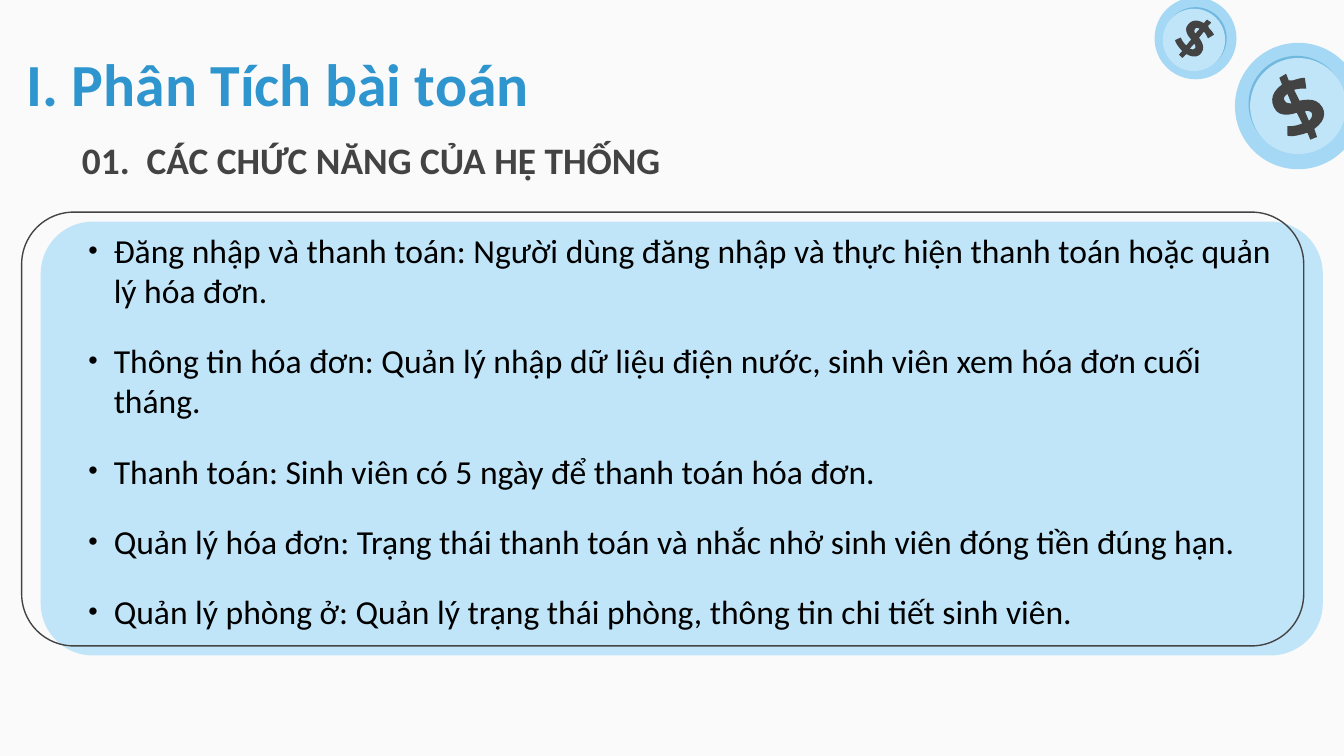
from math import cos, radians, sin

from lxml.etree import SubElement
from pptx import Presentation
from pptx.dml.color import RGBColor
from pptx.enum.shapes import MSO_SHAPE
from pptx.enum.text import MSO_ANCHOR, MSO_AUTO_SIZE, PP_ALIGN
from pptx.oxml.ns import qn
from pptx.util import Cm, Pt

PAPER = RGBColor(0xFA, 0xFA, 0xFA)
SKY = RGBColor(0xC1, 0xE5, 0xF8)
RIM = RGBColor(0xA4, 0xD8, 0xF4)
SHADE = RGBColor(0x71, 0xB8, 0xDF)
BLUE = RGBColor(0x2E, 0x95, 0xCE)
GRAPHITE = RGBColor(0x43, 0x43, 0x43)
BLACK = RGBColor(0, 0, 0)

FONT = "Calibri"
INSET = Cm(0.25)

FUNCTIONS = [
    "Đăng nhập và thanh toán: Người dùng đăng nhập và thực hiện thanh toán hoặc quản lý hóa đơn.",
    "Thông tin hóa đơn: Quản lý nhập dữ liệu điện nước, sinh viên xem hóa đơn cuối tháng.",
    "Thanh toán: Sinh viên có 5 ngày để thanh toán hóa đơn.",
    "Quản lý hóa đơn: Trạng thái thanh toán và nhắc nhở sinh viên đóng tiền đúng hạn.",
    "Quản lý phòng ở: Quản lý trạng thái phòng, thông tin chi tiết sinh viên.",
]

# Pairs are line ends, sextuples are cubic curves, for a coin 94 units wide.
DOLLAR = [
    [(-9, -24), (-14, -21), (-12, -16), (-19, -11, -21, -5, -18, 1),
     (-15, 8, -7, 7, -1, 5), (3, 13), (-2, 15, -5, 15, -8, 15), (-8, 22),
     (-5, 23, -1, 22, 3, 21), (4, 21, 5, 20, 7, 20), (9, 25), (14, 23),
     (12, 17), (19, 12, 21, 6, 18, 1), (14, -6, 7, -5, 1, -4), (-3, -12),
     (0, -13, 3, -13, 6, -13), (5, -21), (2, -21, -1, -20, -4, -19), (-7, -19)],
    [(-8, -9), (-5, -2), (-7, -2, -9, -2, -10, -4), (-11, -5, -11, -7, -8, -9)],
    [(5, 4), (7, 3, 9, 4, 10, 5), (11, 7, 10, 9, 8, 11)],
]
DOLLAR_UNITS = 94


def flatten(contour, steps=6):
    points = []
    for segment in contour:
        if len(segment) == 2:
            points.append(segment)
            continue
        knots = points[-1] + segment
        for step in range(1, steps + 1):
            t = step / steps
            weights = ((1 - t) ** 3, 3 * t * (1 - t) ** 2, 3 * t * t * (1 - t), t ** 3)
            points.append(tuple(
                sum(w * k for w, k in zip(weights, knots[axis::2])) for axis in (0, 1)))
    return points


def paint(shape, fill=None, line=None):
    shape.shadow.inherit = False
    if fill is None:
        shape.fill.background()
    else:
        shape.fill.solid()
        shape.fill.fore_color.rgb = fill
    if line is None:
        shape.line.fill.background()
    else:
        shape.line.color.rgb = line
        shape.line.width = Pt(0.75)


def set_frame(holder, anchor=MSO_ANCHOR.TOP):
    frame = holder.text_frame
    frame.word_wrap = True
    frame.auto_size = MSO_AUTO_SIZE.NONE
    frame.vertical_anchor = anchor
    frame.margin_left = frame.margin_right = INSET
    frame.margin_top = frame.margin_bottom = INSET
    return frame


def set_font(paragraph, size, color, bold=False):
    font = paragraph.font
    font.name, font.size, font.bold = FONT, Pt(size), bold
    font.color.rgb = color


def place(holder, left, top, width, height):
    holder.left, holder.top, holder.width, holder.height = left, top, width, height


def add_bullet(paragraph):
    props = paragraph._p.get_or_add_pPr()
    props.set("marL", str(Cm(0.48)))
    props.set("indent", str(-Cm(0.48)))
    SubElement(SubElement(props, qn("a:buClr")), qn("a:srgbClr"), val=str(BLACK))
    SubElement(props, qn("a:buSzPct"), val="80000")
    SubElement(props, qn("a:buFont"), typeface="Arial")
    SubElement(props, qn("a:buChar"), char="•")


def add_panel(slide, left, top, width, height):
    offsets = ((Cm(0.36), Cm(0.18), SKY, None), (0, 0, None, GRAPHITE))
    for dx, dy, fill, line in offsets:
        panel = slide.shapes.add_shape(
            MSO_SHAPE.ROUNDED_RECTANGLE, left + dx, top + dy, width, height)
        panel.adjustments[0] = 0.12
        paint(panel, fill, line)


def add_heading(slide, left, top, width, height):
    heading = slide.shapes.title
    place(heading, left, top, width, height)
    paragraph = set_frame(heading, MSO_ANCHOR.MIDDLE).paragraphs[0]
    paragraph.text = "I. Phân Tích bài toán"
    paragraph.alignment = PP_ALIGN.RIGHT
    set_font(paragraph, 32, BLUE, bold=True)


def add_subheading(slide, left, top, width, height):
    subheading = slide.shapes.add_textbox(left, top, width, height)
    paragraph = set_frame(subheading).paragraphs[0]
    paragraph.text = "01.\u00a0 CÁC CHỨC NĂNG CỦA HỆ THỐNG".replace("\u00a0", " ")
    set_font(paragraph, 20, GRAPHITE, bold=True)


def add_functions(slide, left, top, width, height):
    functions = slide.placeholders[1]
    place(functions, left, top, width, height)
    frame = set_frame(functions)
    frame.text = "\n".join(FUNCTIONS)
    for paragraph in frame.paragraphs:
        paragraph.space_before = Pt(0)
        paragraph.space_after = Pt(16)
        add_bullet(paragraph)
        set_font(paragraph, 18, BLACK)


def add_coin(slide, left, top, diameter, turn, shade_shift, face_shift):
    center_x, center_y = left + diameter / 2, top + diameter / 2
    discs = ((1, (0, 0), RIM), (0.76, shade_shift, SHADE), (0.76, face_shift, SKY))
    for share, (dx, dy), color in discs:
        size = int(diameter * share)
        disc = slide.shapes.add_shape(
            MSO_SHAPE.OVAL, int(center_x - size / 2) + dx,
            int(center_y - size / 2) + dy, size, size)
        paint(disc, color)

    scale = diameter / DOLLAR_UNITS
    c, s = cos(radians(turn)) * scale, sin(radians(turn)) * scale
    builder = None
    for contour in DOLLAR:
        start, *rest = [(int(center_x + x * c - y * s), int(center_y + x * s + y * c))
                        for x, y in flatten(contour)]
        if builder is None:
            builder = slide.shapes.build_freeform(*start)
        else:
            builder.move_to(*start)
        builder.add_line_segments(rest, close=True)
    paint(builder.convert_to_shape(), GRAPHITE)


def main():
    deck = Presentation()
    deck.slide_width, deck.slide_height = Cm(25.4), Cm(14.29)
    slide = deck.slides.add_slide(deck.slide_layouts[1])
    slide.background.fill.solid()
    slide.background.fill.fore_color.rgb = PAPER

    add_panel(slide, Cm(0.41), Cm(4.01), Cm(24.23), Cm(8.2))
    add_heading(slide, Cm(-1.22), Cm(0.89), Cm(11.48), Cm(1.35))
    add_subheading(slide, Cm(1.3), Cm(2.34), Cm(12.14), Cm(2.51))
    add_functions(slide, Cm(1.42), Cm(4.09), Cm(22.89), Cm(7.26))
    add_coin(slide, Cm(23.34), Cm(0.81), Cm(2.39), 0,
             (Cm(-0.03), Cm(-0.04)), (Cm(0), Cm(0)))
    add_coin(slide, Cm(21.82), Cm(-0.05), Cm(1.55), 65.3,
             (Cm(0), Cm(0)), (Cm(-0.03), Cm(0.03)))

    tree = slide.shapes._spTree
    for holder in (slide.shapes.title, slide.placeholders[1]):
        tree.remove(holder._element)
        tree.append(holder._element)
    deck.save("out.pptx")


if __name__ == "__main__":
    main()
